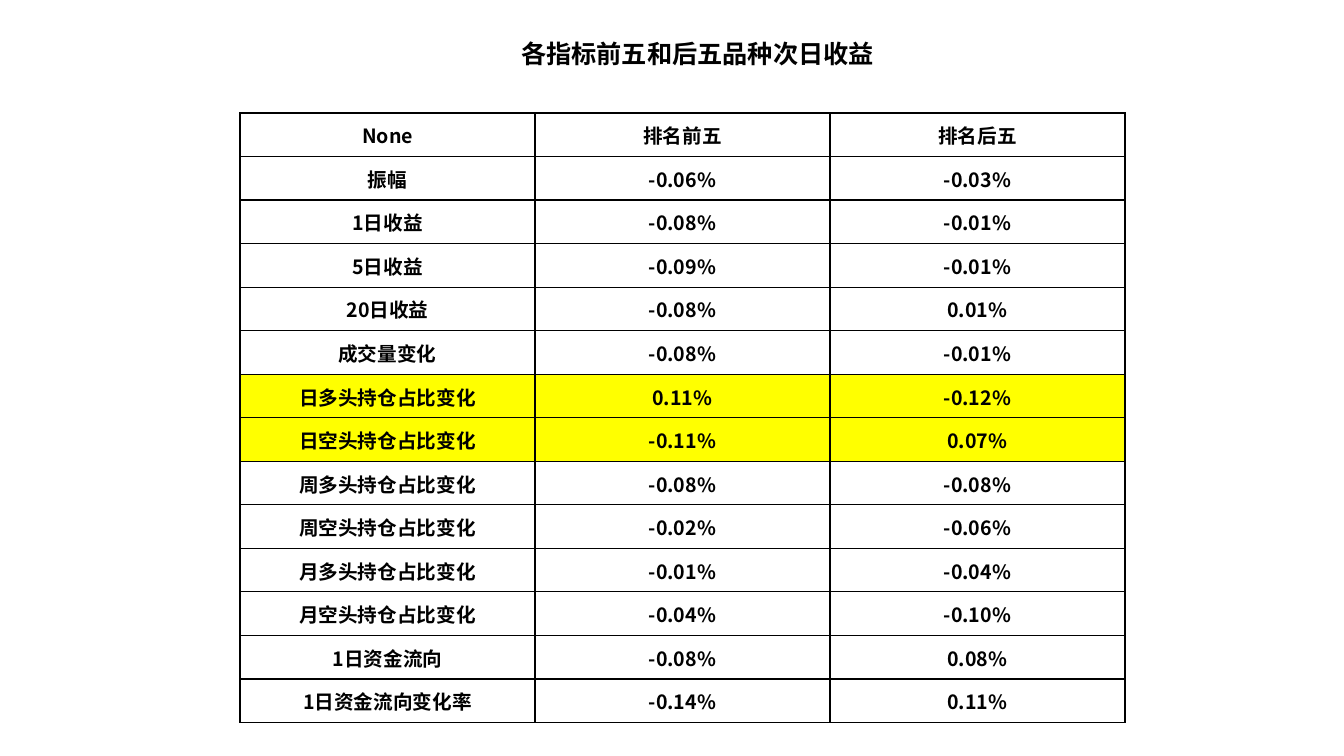
from dataclasses import dataclass

from lxml import etree
from pptx import Presentation
from pptx.dml.color import RGBColor
from pptx.enum.text import MSO_ANCHOR, MSO_AUTO_SIZE, PP_ALIGN
from pptx.oxml.ns import qn
from pptx.util import Pt

LEFT, CENTER = PP_ALIGN.LEFT, PP_ALIGN.CENTER
TOP, MIDDLE = MSO_ANCHOR.TOP, MSO_ANCHOR.MIDDLE
FIT_SHAPE = MSO_AUTO_SIZE.SHAPE_TO_FIT_TEXT
TITLE_ONLY = 5
EMU_PER_PX = 914400 / 100.8


@dataclass(frozen=True)
class Theme:
    """Colours, fonts and type sizes of the slide."""
    ink: str = "000000"
    highlight: str = "FFFF00"
    title_font: str = "Calibri"
    cjk_font: str = "Noto Sans CJK SC"
    title_size: int = 18
    cell_size: int = 14
    border: int = 1


THEME = Theme()
TITLE = "各指标前五和后五品种次日收益"
HEADER = ("None", "排名前五", "排名后五")
RETURNS = (
    ("振幅", "-0.06%", "-0.03%"),
    ("1日收益", "-0.08%", "-0.01%"),
    ("5日收益", "-0.09%", "-0.01%"),
    ("20日收益", "-0.08%", "0.01%"),
    ("成交量变化", "-0.08%", "-0.01%"),
    ("日多头持仓占比变化", "0.11%", "-0.12%"),
    ("日空头持仓占比变化", "-0.11%", "0.07%"),
    ("周多头持仓占比变化", "-0.08%", "-0.08%"),
    ("周空头持仓占比变化", "-0.02%", "-0.06%"),
    ("月多头持仓占比变化", "-0.01%", "-0.04%"),
    ("月空头持仓占比变化", "-0.04%", "-0.10%"),
    ("1日资金流向", "-0.08%", "0.08%"),
    ("1日资金流向变化率", "-0.14%", "0.11%"),
)
HIGHLIGHTED = {"日多头持仓占比变化", "日空头持仓占比变化"}


def px(n):
    """Turn pixels into EMU."""
    return round(n * EMU_PER_PX)


def add_run(p, text, font, size):
    """Add a bold run with its Latin and East Asian fonts."""
    r = p.add_run()
    r.text = text
    r.font.name, r.font.size, r.font.bold = font, Pt(size), True
    r.font.color.rgb = RGBColor.from_string(THEME.ink)
    ea = etree.Element(qn("a:ea"), typeface=THEME.cjk_font)
    r.font._element.find(qn("a:latin")).addnext(ea)


def add_borders(cell):
    """Draw a solid line on all four sides of a cell."""
    tcPr = cell._tc.get_or_add_tcPr()
    for i, side in enumerate(("lnL", "lnR", "lnT", "lnB")):
        ln = etree.Element(qn(f"a:{side}"), w=str(Pt(THEME.border)))
        fill = etree.SubElement(ln, qn("a:solidFill"))
        etree.SubElement(fill, qn("a:srgbClr"), val=THEME.ink)
        tcPr.insert(i, ln)


def format_cell(cell, text, highlighted):
    """Fill, border and write one table cell."""
    if highlighted:
        cell.fill.solid()
        cell.fill.fore_color.rgb = RGBColor.from_string(THEME.highlight)
    else:
        cell.fill.background()
    add_borders(cell)
    cell.margin_left = cell.margin_right = cell.margin_top = px(1)
    cell.margin_bottom = 0
    cell.vertical_anchor = MIDDLE
    p = cell.text_frame.paragraphs[0]
    p.alignment = CENTER
    add_run(p, text, THEME.cjk_font, THEME.cell_size)


def place_title(s, x, y, w, h):
    """Move and write the title placeholder."""
    sp = s.shapes.title
    sp.left, sp.top, sp.width, sp.height = px(x), px(y), px(w), px(h)
    tf = sp.text_frame
    tf.word_wrap, tf.auto_size, tf.vertical_anchor = True, FIT_SHAPE, TOP
    p = tf.paragraphs[0]
    p.alignment = LEFT
    add_run(p, TITLE, THEME.title_font, THEME.title_size)


def add_returns_table(s, x, y, w, h):
    """Add the table of next-day returns, with equal rows and columns."""
    rows = (HEADER, *RETURNS)
    frame = s.shapes.add_table(len(rows), len(HEADER), px(x), px(y), px(w), px(h))
    table = frame.table
    table.first_row = table.horz_banding = False
    for column in table.columns:
        column.width = px(w / len(HEADER))
    for row, values in zip(table.rows, rows):
        row.height = px(h / len(rows))
        for cell, text in zip(row.cells, values):
            format_cell(cell, text, values[0] in HIGHLIGHTED)


def build_slide(prs):
    """Add the slide with its title and table."""
    s = prs.slides.add_slide(prs.slide_layouts[TITLE_ONLY])
    place_title(s, 511, 33, 475, 40)
    add_returns_table(s, 240, 113, 885, 610)


prs = Presentation()
prs.slide_width, prs.slide_height = px(1344), px(756)
build_slide(prs)
prs.save("out.pptx")
